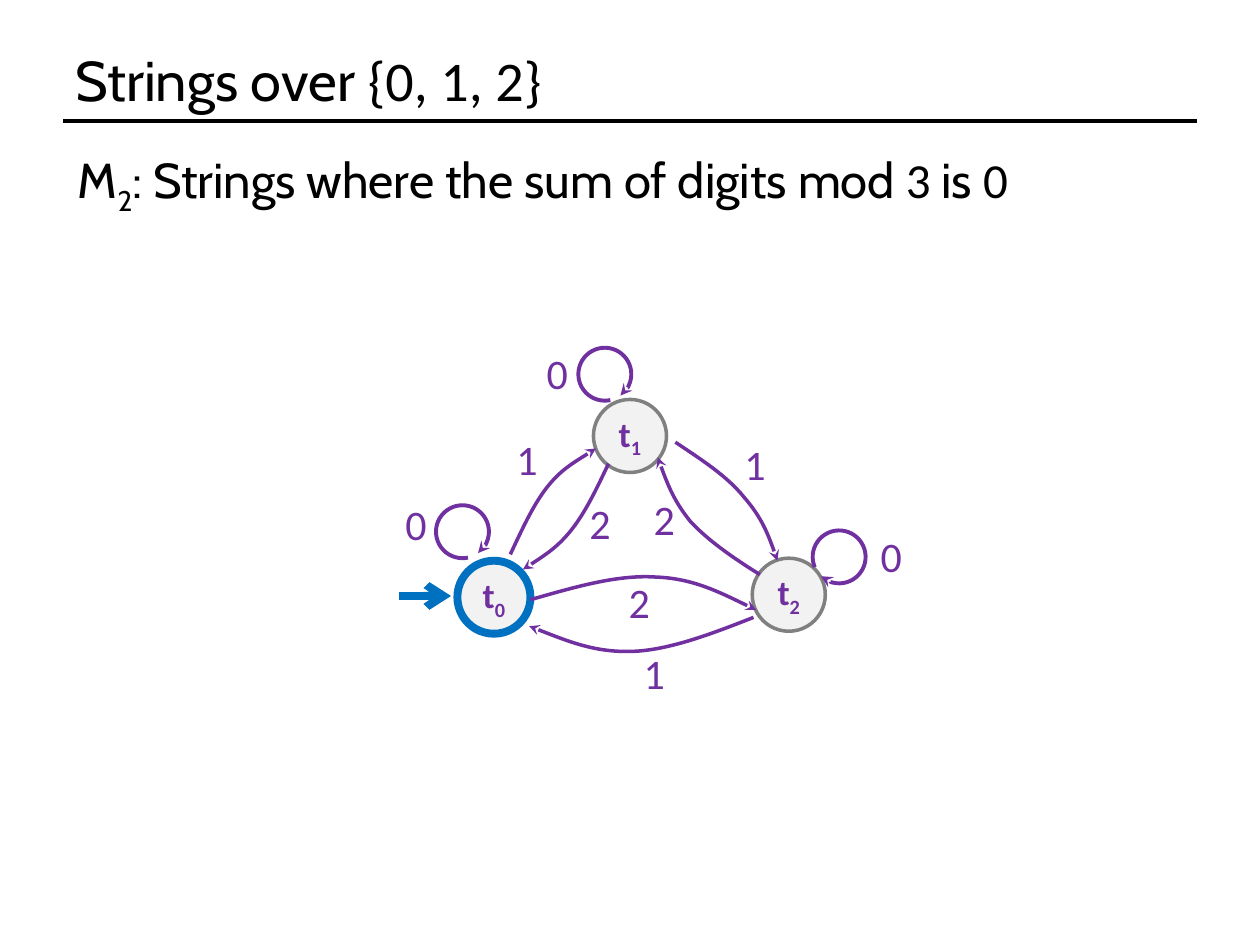
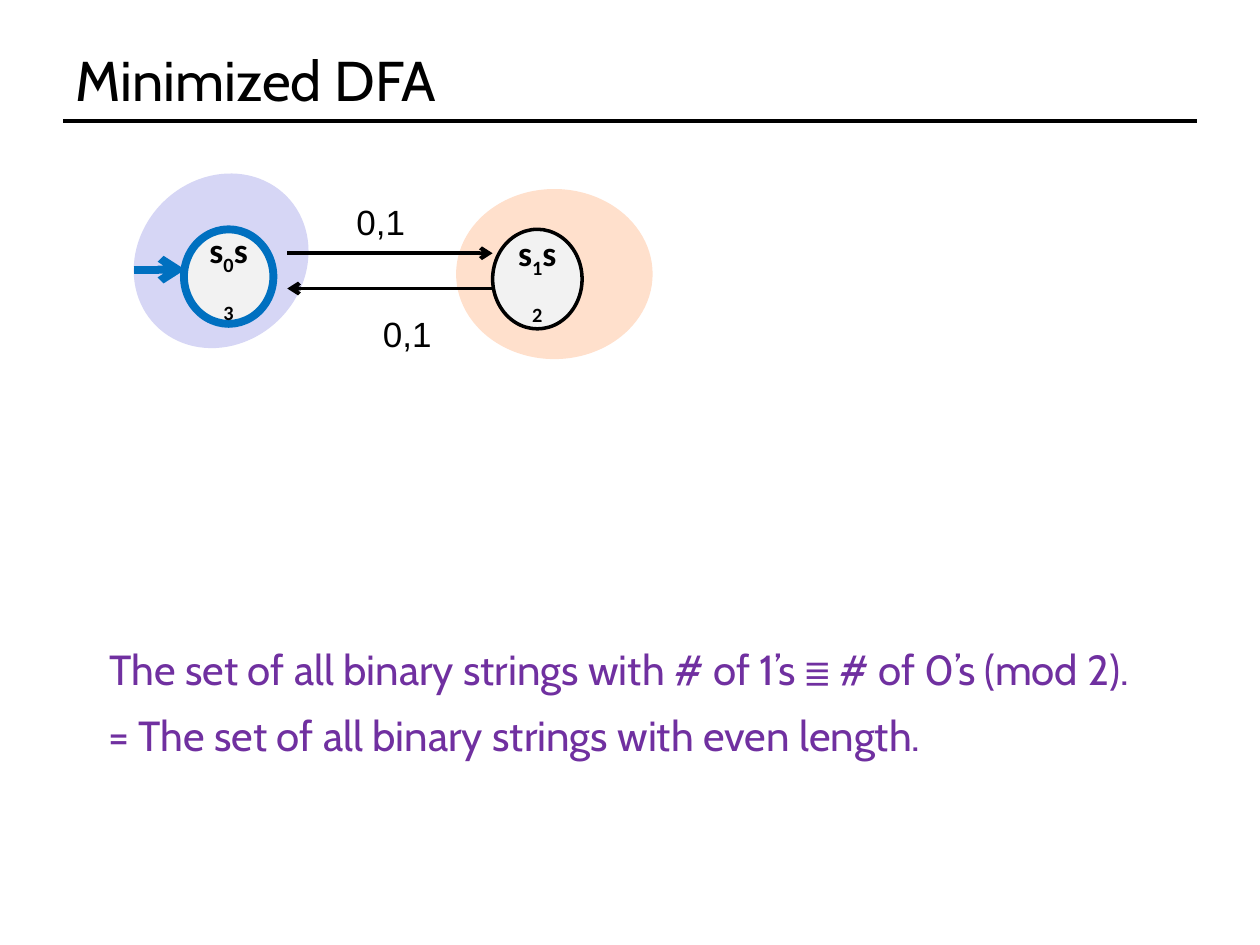
from lxml.etree import SubElement
from pptx import Presentation
from pptx.dml.color import RGBColor
from pptx.enum.shapes import MSO_CONNECTOR as Connector, MSO_SHAPE as Shape
from pptx.enum.text import MSO_ANCHOR as Anchor, PP_ALIGN as Align
from pptx.oxml.ns import qn
from pptx.util import Inches, Pt

COLORS = {
    "black": "000000",
    "purple": "7030A0",
    "start": "0070C0",
    "gray": "808080",
    "state": "F2F2F2",
    "lavender": "D6D6F5",
    "peach": "FFE0CC",
}
HEADING, BODY, PLAIN = "Cabin", "Calibri", "Arial"


def rgb(name):
    return RGBColor.from_string(COLORS[name])


# Text: a span is (words, font name) or (words, font name, "sub")
def write_spans(shape, spans, size, color, bold=False):
    para = shape.text_frame.paragraphs[0]
    for words, font_name, *position in spans:
        span = para.add_run()
        span.text = words
        span.font.name = font_name
        span.font.size = Pt(size)
        span.font.bold = bold
        span.font.color.rgb = rgb(color)
        if position:
            span._r.get_or_add_rPr().set("baseline", "-25000")
    return para


def add_text(page, at, spans, size, color="black", wrap=True, anchor=Anchor.TOP):
    box = page.shapes.add_textbox(*map(Inches, at))
    box.text_frame.word_wrap = wrap
    box.text_frame.vertical_anchor = anchor
    write_spans(box, spans, size, color)


# Lines and arrows
def style_line(shape, color, width, arrow=None, end="tailEnd"):
    shape.line.color.rgb = rgb(color)
    shape.line.width = Pt(width)
    if arrow:
        outline = shape.line._get_or_add_ln()
        SubElement(outline, qn(f"a:{end}"), type=arrow)


def add_line(page, start, stop, color, width, arrow=None, end="tailEnd"):
    line = page.shapes.add_connector(
        Connector.STRAIGHT, *map(Inches, (*start, *stop)))
    style_line(line, color, width, arrow, end)
    SubElement(line._element.spPr, qn("a:effectLst"))


def add_curve(page, points):
    """Draw a cubic curve: a start point, then three points per segment."""
    start, *others = [tuple(map(Inches, point)) for point in points]
    builder = page.shapes.build_freeform(*start)
    builder.add_line_segments(others, close=False)
    curve = builder.convert_to_shape()
    curve.shadow.inherit = False
    curve.fill.background()
    style_line(curve, "purple", 2, "stealth")

    steps = list(curve._element.iter(qn("a:lnTo")))
    for first in range(0, len(steps), 3):
        bend, *rest = steps[first:first + 3]
        outline = bend.getparent()
        cubic = SubElement(outline, qn("a:cubicBezTo"))
        for step in (bend, *rest):
            cubic.append(step[0])
            outline.remove(step)


# Automaton parts
def add_ellipse(page, at, fill):
    ellipse = page.shapes.add_shape(Shape.OVAL, *map(Inches, at))
    ellipse.shadow.inherit = False
    ellipse.fill.solid()
    ellipse.fill.fore_color.rgb = rgb(fill)
    ellipse.line.fill.background()
    return ellipse


def add_state(page, at, spans, text_color, outline, width):
    state = add_ellipse(page, at, "state")
    style_line(state, outline, width)
    state.text_frame.vertical_anchor = Anchor.MIDDLE
    para = write_spans(state, spans, 20, text_color, bold=True)
    para.alignment = Align.CENTER


def add_start_arrow(page, left, top):
    add_line(page, (left, top), (left + 0.41, top), "start", 4.5, "arrow")


def add_loop(page, left, top, rotation):
    loop = page.shapes.add_shape(
        Shape.ARC, *map(Inches, (left, top, 0.42, 0.42)))
    loop.shadow.inherit = False
    loop.fill.background()
    loop.adjustments[0] = 14.537
    loop.adjustments[1] = 0
    loop.rotation = rotation
    style_line(loop, "purple", 2.25, "stealth")


# Shared slide frame
def add_page(deck, title_spans):
    page = deck.slides.add_slide(deck.slide_layouts[6])
    add_line(page, (0.5, 0.96), (9.5, 0.96), "black", 2)
    add_text(page, (0.5, 0.3, 9, 0.66), title_spans, 32, anchor=Anchor.MIDDLE)
    return page


def build_digit_sum_page(deck):
    page = add_page(deck, [("Strings over ", HEADING), ("{0, 1, 2}", BODY)])
    add_text(page, (0.52, 1.14, 9, 5.62), [
        ("M", HEADING), ("2", HEADING, "sub"),
        (": Strings where the sum of digits mod ", HEADING),
        ("3", BODY), (" is ", HEADING), ("0", BODY)], 28)

    # States
    states = [
        ("0", 3.63, 4.45, "start", 4.5),
        ("1", 4.71, 3.17, "gray", 2),
        ("2", 5.97, 4.43, "gray", 2),
    ]
    for index, left, top, outline, width in states:
        add_state(page, (left, top, 0.58, 0.58),
                  [("t", BODY), (index, BODY, "sub")],
                  "purple", outline, width)
    add_start_arrow(page, 3.17, 4.73)

    # Transitions
    for left, top, rotation in [
            (3.46, 4.01, 53.8), (4.59, 2.76, 53.8), (6.45, 4.21, 132.9)]:
        add_loop(page, left, top, rotation)
    transitions = [
        # t0 to t1 and back
        [(4.05, 4.4), (4.14, 4.21), (4.23, 4.01), (4.34, 3.87),
         (4.45, 3.73), (4.59, 3.65), (4.73, 3.56)],
        [(4.83, 3.68), (4.74, 3.87), (4.65, 4.06), (4.54, 4.2),
         (4.43, 4.34), (4.29, 4.43), (4.15, 4.52)],
        # t1 to t2 and back
        [(5.36, 3.51), (5.57, 3.65), (5.77, 3.78), (5.9, 3.94),
         (6.04, 4.1), (6.11, 4.27), (6.17, 4.45)],
        [(6.03, 4.56), (5.82, 4.43), (5.62, 4.29), (5.48, 4.14),
         (5.35, 3.98), (5.28, 3.8), (5.22, 3.63)],
        # t0 to t2 and back
        [(4.21, 4.76), (4.56, 4.66), (4.9, 4.56), (5.2, 4.58),
         (5.5, 4.59), (5.75, 4.72), (6, 4.84)],
        [(5.98, 4.9), (5.65, 5.03), (5.31, 5.16), (5.02, 5.17),
         (4.72, 5.18), (4.46, 5.07), (4.2, 4.97)],
    ]
    for points in transitions:
        add_curve(page, points)

    # Digits read on the transitions
    digit_places = {
        "0": [(3.12, 3.91), (4.24, 2.71), (6.89, 4.16)],
        "1": [(4, 3.39), (5.81, 3.43), (5.01, 5.09)],
        "2": [(4.58, 3.9), (5.09, 3.87), (4.89, 4.53)],
    }
    for digit, places in digit_places.items():
        for left, top in places:
            add_text(page, (left, top, 0.37, 0.5), [(digit, BODY)],
                     24, "purple", wrap=False)


def build_minimized_page(deck):
    page = add_page(deck, [("Minimized DFA", HEADING)])

    # Merged groups of states
    add_ellipse(page, (1.1, 1.34, 1.31, 1.46), "lavender").rotation = 45.3
    add_ellipse(page, (3.62, 1.5, 1.56, 1.35), "peach")
    states = [
        ((1.46, 1.82, 0.71, 0.75), "0", "3", "start", 4.5),
        ((3.91, 1.82, 0.71, 0.79), "1", "2", "black", 2),
    ]
    for at, first, second, outline, width in states:
        spans = [("s", BODY), (first, BODY, "sub"),
                 ("s", BODY), (second, BODY, "sub")]
        add_state(page, at, spans, "black", outline, width)

    # Transitions
    for top, end in [(2.01, "tailEnd"), (2.29, "headEnd")]:
        add_line(page, (2.28, top), (3.91, top), "black", 2.25, "arrow", end)
    for at in [(2.73, 1.54, 1.02, 0.49), (2.94, 2.43, 0.82, 0.49)]:
        add_text(page, at, [("0,1", PLAIN)], 20)
    add_start_arrow(page, 1.06, 2.14)

    # Accepted language
    add_text(page, (0.77, 5.06, 9.22, 0.5), [
        ("The set of all binary strings with # of 1’s ", HEADING),
        ("≣", "Cambria"), (" # of 0’s (mod 2).", HEADING)], 24, "purple")
    add_text(page, (0.76, 5.58, 8.72, 0.5), [
        ("= The set of all binary strings with even length.", HEADING)],
        24, "purple")


def main():
    deck = Presentation()
    deck.slide_width, deck.slide_height = Inches(10), Inches(7.5)
    build_digit_sum_page(deck)
    build_minimized_page(deck)
    deck.save("out.pptx")


if __name__ == "__main__":
    main()
